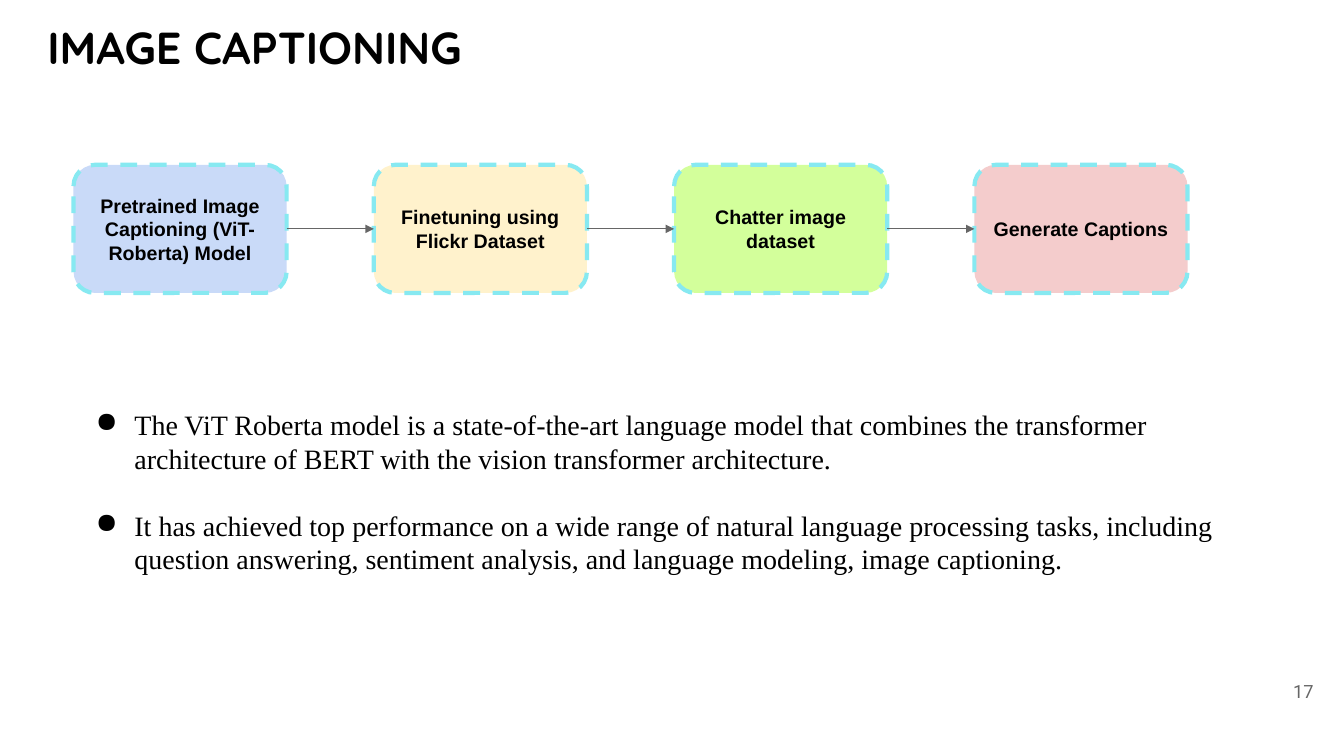
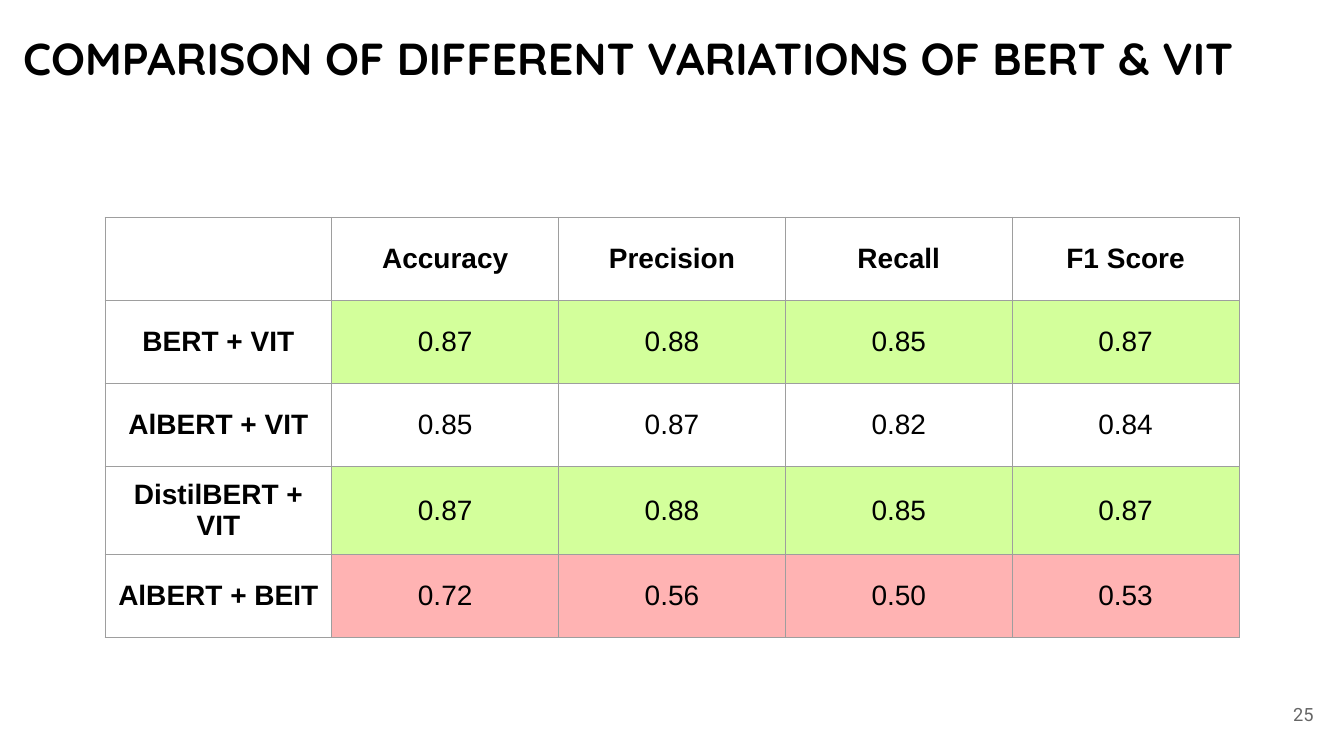
from pptx import Presentation
from pptx.dml.color import RGBColor
from pptx.enum.dml import MSO_LINE as Dash
from pptx.enum.shapes import MSO_CONNECTOR as Link, MSO_SHAPE as Kind
from pptx.enum.text import MSO_ANCHOR as Anchor, MSO_AUTO_SIZE as Fit, PP_ALIGN as Align
from pptx.oxml import parse_xml
from pptx.oxml.ns import nsdecls
from pptx.util import Pt

PX = 9525
BLACK, GRAY, RULE, EDGE = "000000", "666666", "9E9E9E", "87E9F1"
BLUE, CREAM, GREEN, PINK, RED = "C9DAF8", "FFF2CC", "D3FF9B", "F4CCCC", "FFB3B3"
HEAD = dict(name="Quicksand", size=Pt(32), bold=True)
PAGE = dict(name="Roboto", size=Pt(13), bold=False)
STEP = dict(name="Arial", size=Pt(14), bold=True)
BODY = dict(name="Times New Roman", size=Pt(20), bold=False)
CELL = dict(name="Arial", size=Pt(20))
SIDES = "left", "top", "right", "bottom"


def px(*nums):
    return [n * PX for n in nums]


def tint(code):
    return RGBColor.from_string(code)


def xml(tag, body="", attrs=""):
    return parse_xml(f"<a:{tag} {nsdecls('a')} {attrs}>{body}</a:{tag}>")


def put(obj, values):
    for key, val in values.items():
        setattr(obj, key, val)


def pad(obj, gap):
    """Set equal inner margins on a text frame or a cell."""
    put(obj, {f"margin_{side}": gap * PX for side in SIDES})


def paint(shape, fill, line, width):
    shape.shadow.inherit = False
    shape.fill.solid()
    shape.fill.fore_color.rgb = tint(fill)
    shape.line.color.rgb = tint(line)
    shape.line.width = Pt(width)


def write(par, text, font, align=Align.LEFT, color=BLACK):
    par.alignment = align
    run = par.add_run()
    run.text = text
    put(run.font, font)
    run.font.color.rgb = tint(color)


def frame(shape, gap, anchor):
    text = shape.text_frame
    put(text, dict(word_wrap=True, vertical_anchor=anchor))
    pad(text, gap)
    return text


def begin(deck, title, box, page, top):
    """Add a slide with its title and its page number."""
    slide = deck.slides.add_slide(deck.slide_layouts[5])
    head = slide.shapes.title
    put(head, dict(zip(("left", "top", "width", "height"), px(*box))))
    text = frame(head, 10, Anchor.TOP)
    text.auto_size = Fit.SHAPE_TO_FIT_TEXT
    write(text.paragraphs[0], title, HEAD)
    note = slide.shapes.add_textbox(*px(1186, top, 77, 55))
    text = frame(note, 12, Anchor.MIDDLE)
    write(text.paragraphs[0], page, PAGE, Align.RIGHT, GRAY)
    return slide


def join(slide, start, end):
    arrow = slide.shapes.add_connector(Link.STRAIGHT, 0, 0, 0, 0)
    arrow.begin_connect(start, 3)
    arrow.end_connect(end, 1)
    arrow.line.color.rgb = tint(GRAY)
    arrow.line.width = Pt(0.75)
    arrow.line._get_or_add_ln().append(xml("tailEnd", attrs='type="triangle"'))
    arrow._element.spPr.append(xml("effectLst"))


def flow(slide, box, steps, gap):
    left, top, width, high = box
    wide = (width - gap * (len(steps) - 1)) // len(steps)
    last = None
    for i, (label, fill) in enumerate(steps):
        x = left + i * (wide + gap)
        step = slide.shapes.add_shape(Kind.ROUNDED_RECTANGLE, *px(x, top, wide, high))
        paint(step, fill, EDGE, 3)
        step.line.dash_style = Dash.DASH
        text = frame(step, 10, Anchor.MIDDLE)
        write(text.paragraphs[0], label, STEP, Align.CENTER)
        if last:
            join(slide, last, step)
        last = step


def points(slide, box, lines):
    text = frame(slide.shapes.add_textbox(*px(*box)), 10, Anchor.TOP)
    for i, line in enumerate(lines):
        par = text.paragraphs[0]
        if i:
            par = text.add_paragraph()
        props = par._p.get_or_add_pPr()
        props.set("marL", str(48 * PX))
        props.set("indent", str(-37 * PX))
        props.append(xml("buClr", f'<a:srgbClr val="{BLACK}"/>'))
        props.append(xml("buChar", attrs='char="●"'))
        if i:
            par.space_before = Pt(24)
        write(par, line, BODY)


def border(cell):
    props = cell._tc.get_or_add_tcPr()
    fill = f'<a:solidFill><a:srgbClr val="{RULE}"/></a:solidFill>'
    for side in "LRTB":
        props.append(xml(f"ln{side}", fill, f'w="{Pt(0.75)}"'))


def grid(slide, box, rows, fills):
    """Draw a table; fills gives the colour of the values in each row."""
    table = slide.shapes.add_table(len(rows), len(rows[0]), *px(*box)).table
    put(table, dict(first_row=False, horz_banding=False))
    for r, row in enumerate(rows):
        for c, word in enumerate(row):
            cell = table.cell(r, c)
            border(cell)
            pad(cell, 10)
            cell.vertical_anchor = Anchor.MIDDLE
            if c and fills[r]:
                cell.fill.solid()
                cell.fill.fore_color.rgb = tint(fills[r])
            else:
                cell.fill.background()
            if word:
                font = dict(CELL, bold=r == 0 or c == 0)
                write(cell.text_frame.paragraphs[0], word, font, Align.CENTER)


def caption(deck):
    slide = begin(deck, "IMAGE CAPTIONING", (35, 9, 653, 71), "17", 631)
    flow(slide, (70, 157, 1061, 122), [
        ("Pretrained Image Captioning (ViT-Roberta) Model", BLUE),
        ("Finetuning using Flickr Dataset", CREAM),
        ("Chatter image dataset", GREEN),
        ("Generate Captions", PINK),
    ], 83)
    points(slide, (70, 378, 1128, 182), [
        "The ViT Roberta model is a state-of-the-art language model that combines "
        "the transformer architecture of BERT with the vision transformer architecture.",
        "It has achieved top performance on a wide range of natural language processing "
        "tasks, including question answering, sentiment analysis, and language modeling, "
        "image captioning.",
    ])


def compare(deck):
    slide = begin(deck, "COMPARISON OF DIFFERENT VARIATIONS OF BERT & VIT",
                  (12, 19, 1244, 71), "25", 653)
    grid(slide, (100, 207, 1080, 395), [
        ("", "Accuracy", "Precision", "Recall", "F1 Score"),
        ("BERT + VIT", "0.87", "0.88", "0.85", "0.87"),
        ("AlBERT + VIT", "0.85", "0.87", "0.82", "0.84"),
        ("DistilBERT + VIT", "0.87", "0.88", "0.85", "0.87"),
        ("AlBERT + BEIT", "0.72", "0.56", "0.50", "0.53"),
    ], (None, GREEN, None, GREEN, RED))


def main():
    deck = Presentation()
    put(deck, dict(slide_width=1280 * PX, slide_height=720 * PX))
    caption(deck)
    compare(deck)
    deck.save("out.pptx")


if __name__ == "__main__":
    main()
